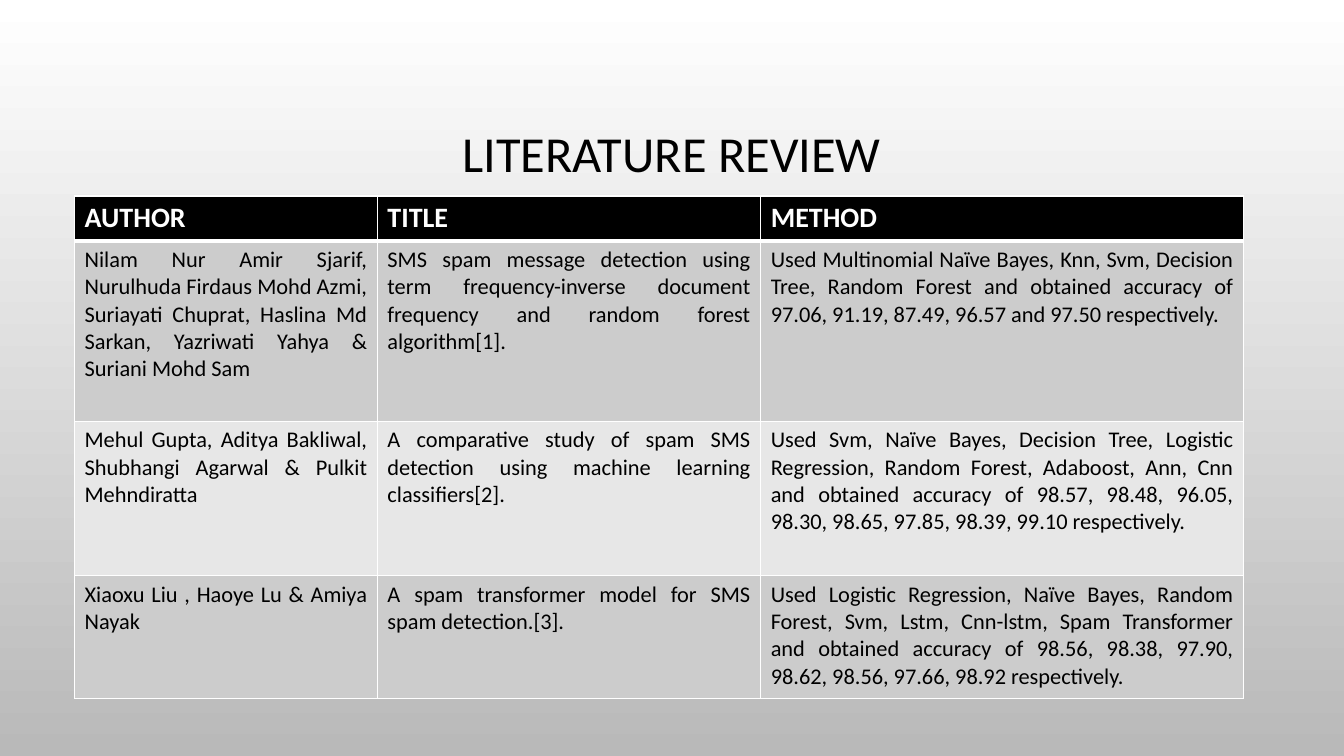
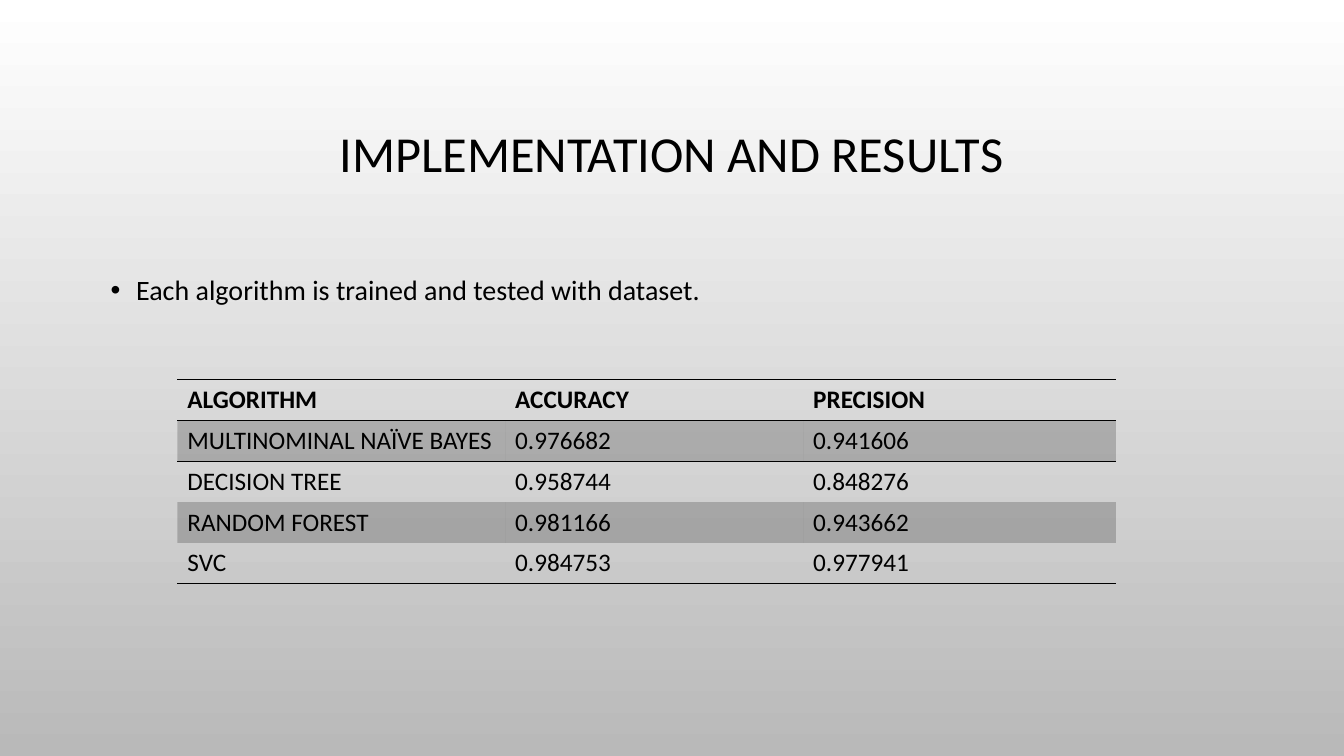
from dataclasses import dataclass

from lxml import etree
from pptx import Presentation
from pptx.dml.color import RGBColor
from pptx.enum import text as tx
from pptx.oxml import ns
from pptx.util import Cm, Pt

BLACK = RGBColor(0x00, 0x00, 0x00)
WHITE = RGBColor(0xFF, 0xFF, 0xFF)
GRAY = RGBColor(0xB9, 0xB9, 0xB9)
DARK = RGBColor(0xCC, 0xCC, 0xCC)
LIGHT = RGBColor(0xE7, 0xE7, 0xE7)
FACE = "Calibri"
PLAIN = "{2D5ABB26-0587-4C30-8999-92F81FD0307C}"
JUST = tx.PP_ALIGN.JUSTIFY
LEFT = tx.PP_ALIGN.LEFT
MID = tx.PP_ALIGN.CENTER
TITLE = {"left": Cm(2.54), "top": Cm(1.71), "width": Cm(28.78), "height": Cm(4.45)}
BODY = (Cm(2.54), Cm(6.58), Cm(28.78), Cm(10.19))


@dataclass(frozen=True)
class Band:
    fill: RGBColor | None
    ink: RGBColor
    size: int
    bold: bool = False
    alpha: int = 100


@dataclass(frozen=True)
class Grid:
    left: float
    top: float
    cols: tuple[float, ...]
    rows: tuple[float, ...]
    head: Band
    bands: tuple[Band, Band]
    align: tx.PP_ALIGN
    line: RGBColor
    side: int
    rules: tuple[int, ...]
    cells: tuple[tuple[str, ...], ...]


REVIEW = Grid(
    1.88, 4.94, (7.63, 9.66, 12.17), (1.13, 4.55, 3.89, 3.1),
    Band(BLACK, WHITE, 20, True),
    (Band(DARK, BLACK, 16), Band(LIGHT, BLACK, 16)),
    JUST, WHITE, 1, (1, 3, 1, 1, 1),
    (
        ("AUTHOR", "TITLE", "METHOD"),
        (
            "Nilam Nur Amir Sjarif, Nurulhuda Firdaus Mohd Azmi, Suriayati Chuprat, "
            "Haslina Md Sarkan, Yazriwati Yahya & Suriani Mohd Sam",
            "SMS spam message detection using term frequency-inverse document "
            "frequency and random forest algorithm[1].",
            "Used Multinomial Naïve Bayes, Knn, Svm, Decision Tree, Random Forest and "
            "obtained accuracy of 97.06, 91.19, 87.49, 96.57 and 97.50 respectively.",
        ),
        (
            "Mehul Gupta, Aditya Bakliwal, Shubhangi Agarwal & Pulkit Mehndiratta",
            "A comparative study of spam SMS detection using machine learning "
            "classifiers[2].",
            "Used Svm, Naïve Bayes, Decision Tree, Logistic Regression, Random Forest, "
            "Adaboost, Ann, Cnn and obtained accuracy of 98.57, 98.48, 96.05, 98.30, "
            "98.65, 97.85, 98.39, 99.10 respectively.",
        ),
        (
            "Xiaoxu Liu , Haoye Lu & Amiya Nayak",
            "A spam transformer model for SMS spam detection.[3].",
            "Used Logistic Regression, Naïve Bayes, Random Forest, Svm, Lstm, Cnn-lstm, "
            "Spam Transformer and obtained accuracy of 98.56, 98.38, 97.90, 98.62, "
            "98.56, 97.66, 98.92 respectively.",
        ),
    ),
)

RESULTS = Grid(
    4.47, 9.56, (8.26, 7.51, 7.88), (1.03,) * 5,
    Band(None, BLACK, 18, True),
    (Band(BLACK, BLACK, 18, alpha=20), Band(None, BLACK, 18)),
    LEFT, BLACK, 0, (1, 1, 0, 0, 0, 1),
    (
        ("ALGORITHM", "ACCURACY", "PRECISION"),
        ("MULTINOMINAL NAÏVE BAYES", "0.976682", "0.941606"),
        ("DECISION TREE", "0.958744", "0.848276"),
        ("RANDOM FOREST", "0.981166", "0.943662"),
        ("SVC", "0.984753", "0.977941"),
    ),
)


def apply(item, looks: dict) -> None:
    for name, value in looks.items():
        setattr(item, name, value)


def node(parent, tag: str, **attrs: str):
    return etree.SubElement(parent, ns.qn(tag), attrs)


def write(frame, words: str, size: int, ink: RGBColor, looks: dict, bold: bool = False):
    para = frame.paragraphs[0]
    apply(para, looks)
    run = para.add_run()
    run.text = words
    apply(run.font, {"name": FACE, "size": Pt(size), "bold": bold})
    run.font.color.rgb = ink
    return para


def edge(cell, tag: str, weight: int, ink: RGBColor) -> None:
    if weight:
        line = node(cell._tc.get_or_add_tcPr(), tag, w=str(Pt(weight)))
        node(node(line, "a:solidFill"), "a:srgbClr", val=str(ink))


def paint(cell, band: Band) -> None:
    if band.fill is None:
        cell.fill.background()
        return
    cell.fill.solid()
    cell.fill.fore_color.rgb = band.fill
    if band.alpha < 100:
        tint = cell._tc.tcPr.find(ns.qn("a:solidFill")).find(ns.qn("a:srgbClr"))
        node(tint, "a:alpha", val=str(band.alpha * 1000))


def draw(slide, grid: Grid) -> None:
    frame = slide.shapes.add_table(
        len(grid.rows), len(grid.cols), Cm(grid.left), Cm(grid.top),
        Cm(sum(grid.cols)), Cm(sum(grid.rows)),
    )
    table = frame.table
    table._tbl.tblPr.find(ns.qn("a:tableStyleId")).text = PLAIN
    for col, width in zip(table.columns, grid.cols):
        col.width = Cm(width)
    for r, height in enumerate(grid.rows):
        table.rows[r].height = Cm(height)
        band = grid.bands[(r - 1) % 2] if r else grid.head
        edges = {"a:lnL": grid.side, "a:lnR": grid.side,
                 "a:lnT": grid.rules[r], "a:lnB": grid.rules[r + 1]}
        for c, words in enumerate(grid.cells[r]):
            cell = table.cell(r, c)
            for tag, weight in edges.items():
                edge(cell, tag, weight, grid.line)
            paint(cell, band)
            write(cell.text_frame, words, band.size, band.ink,
                  {"alignment": grid.align}, band.bold)


def page(deck, title: str):
    slide = deck.slides.add_slide(deck.slide_layouts[5])
    head = slide.shapes.title
    apply(head, TITLE)
    head.text_frame.vertical_anchor = tx.MSO_ANCHOR.MIDDLE
    write(head.text_frame, title, 36, BLACK, {"alignment": MID, "line_spacing": 0.9})
    return slide


def point(slide, words: str) -> None:
    frame = slide.shapes.add_textbox(*BODY).text_frame
    frame.word_wrap = True
    looks = {"alignment": JUST, "line_spacing": 1.2, "space_before": Pt(10)}
    para = write(frame, words, 20, BLACK, looks)
    props = para._p.get_or_add_pPr()
    for name, value in {"marL": Cm(0.64), "indent": -Cm(0.64)}.items():
        props.set(name, str(value))
    node(node(props, "a:buClr"), "a:srgbClr", val=str(BLACK))
    node(props, "a:buFont", typeface="Arial")
    node(props, "a:buChar", char="•")


def shade(deck) -> None:
    fill = deck.slide_master.background.fill
    fill.gradient()
    fill.gradient_angle = 270
    for stop, place, ink in zip(fill.gradient_stops, (0, 1), (WHITE, GRAY)):
        stop.position = place
        stop.color.rgb = ink


def main() -> None:
    deck = Presentation()
    apply(deck, {"slide_width": Cm(33.87), "slide_height": Cm(19.05)})
    shade(deck)
    draw(page(deck, "LITERATURE REVIEW"), REVIEW)
    slide = page(deck, "IMPLEMENTATION AND RESULTS")
    point(slide, "Each algorithm is trained and tested with dataset.")
    draw(slide, RESULTS)
    deck.save("out.pptx")


if __name__ == "__main__":
    main()
